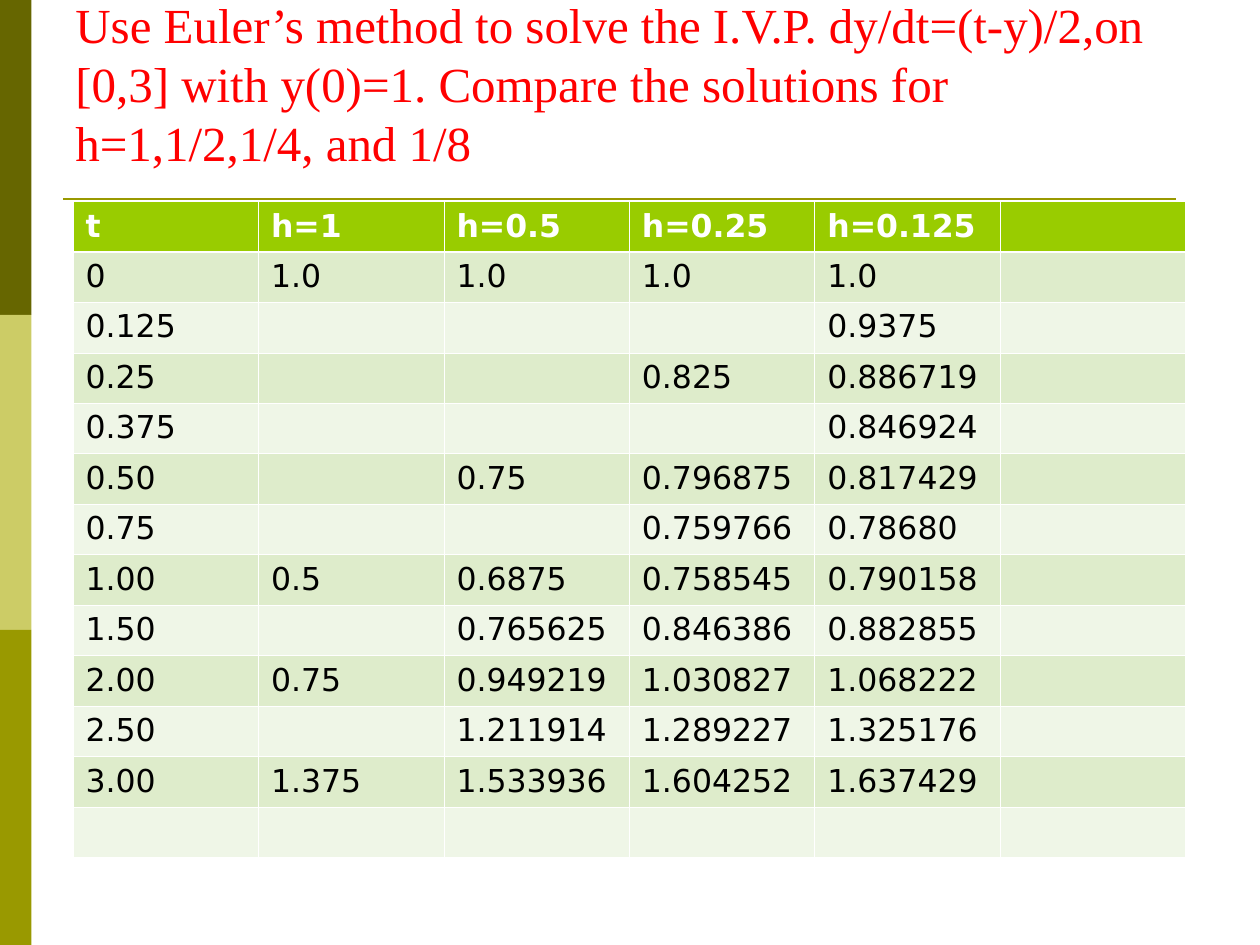
from typing import NamedTuple

from lxml.etree import SubElement
from pptx import Presentation
from pptx.dml.color import RGBColor
from pptx.enum.shapes import MSO_CONNECTOR as Link, MSO_SHAPE as Shape
from pptx.enum.text import MSO_ANCHOR as Anchor
from pptx.oxml.ns import qn
from pptx.util import Inches, Pt

WHITE = RGBColor(0xFF, 0xFF, 0xFF)
BLACK = RGBColor(0x00, 0x00, 0x00)
RED = RGBColor(0xFF, 0x00, 0x00)
DARK = RGBColor(0x66, 0x66, 0x00)
SAND = RGBColor(0xCC, 0xCC, 0x66)
OLIVE = RGBColor(0x99, 0x99, 0x00)
LIME = RGBColor(0x99, 0xCC, 0x00)
MINT = RGBColor(0xDE, 0xEC, 0xCB)
PALE = RGBColor(0xEF, 0xF6, 0xE7)

TITLE = (
    "Use Euler’s method to solve the I.V.P. dy/dt=(t-y)/2,on [0,3] with y(0)=1. "
    "Compare the solutions for h=1,1/2,1/4, and 1/8"
)
ROWS = [
    ("t", "h=1", "h=0.5", "h=0.25", "h=0.125", ""),
    ("0", "1.0", "1.0", "1.0", "1.0", ""),
    ("0.125", "", "", "", "0.9375", ""),
    ("0.25", "", "", "0.825", "0.886719", ""),
    ("0.375", "", "", "", "0.846924", ""),
    ("0.50", "", "0.75", "0.796875", "0.817429", ""),
    ("0.75", "", "", "0.759766", "0.78680", ""),
    ("1.00", "0.5", "0.6875", "0.758545", "0.790158", ""),
    ("1.50", "", "0.765625", "0.846386", "0.882855", ""),
    ("2.00", "0.75", "0.949219", "1.030827", "1.068222", ""),
    ("2.50", "", "1.211914", "1.289227", "1.325176", ""),
    ("3.00", "1.375", "1.533936", "1.604252", "1.637429", ""),
    ("", "", "", "", "", ""),
]


class Band(NamedTuple):
    top: float
    color: RGBColor


class Look(NamedTuple):
    fill: RGBColor
    ink: RGBColor
    bold: bool


BANDS = [Band(0, DARK), Band(2.5, SAND), Band(5, OLIVE)]
HEAD = Look(LIME, WHITE, True)
ODD = Look(MINT, BLACK, False)
EVEN = Look(PALE, BLACK, False)


def draw_band(slide, band: Band) -> None:
    bar = slide.shapes.add_shape(
        Shape.RECTANGLE, 0, Inches(band.top), Inches(0.25), Inches(2.5)
    )
    bar.shadow.inherit = False
    bar.fill.solid()
    bar.fill.fore_color.rgb = band.color
    bar.line.fill.background()


def draw_rule(slide) -> None:
    rule = slide.shapes.add_connector(
        Link.STRAIGHT, Inches(0.5), Inches(1.58), Inches(9.33), Inches(1.58)
    )
    rule.line.color.rgb = OLIVE
    rule.line.width = Pt(1.5)
    SubElement(rule._element.spPr, qn("a:effectLst"))


def draw_title(slide) -> None:
    box = slide.shapes.add_textbox(Inches(0.5), Inches(0.3), Inches(9), Inches(1.11))
    frame = box.text_frame
    frame.word_wrap = True
    frame.vertical_anchor = Anchor.BOTTOM
    frame.text = TITLE
    font = frame.paragraphs[0].font
    font.name = "Times New Roman"
    font.size = Pt(28)
    font.color.rgb = RED


def set_edge(cell, side: str, width: float) -> None:
    edge = SubElement(cell._tc.get_or_add_tcPr(), qn(f"a:{side}"), w=str(Pt(width)))
    fill = SubElement(edge, qn("a:solidFill"))
    SubElement(fill, qn("a:srgbClr"), val=str(WHITE))


def style_cell(cell, text: str, look: Look, row: int) -> None:
    thick = {0: "lnB", 1: "lnT"}.get(row)
    for side in ("lnL", "lnR", "lnT", "lnB"):
        set_edge(cell, side, 1.47 if side == thick else 0.45)
    cell.fill.solid()
    cell.fill.fore_color.rgb = look.fill
    cell.text = text
    font = cell.text_frame.paragraphs[0].font
    font.name = "DejaVu Sans"
    font.size = Pt(18)
    font.bold = look.bold
    font.color.rgb = look.ink


def draw_table(slide) -> None:
    count = len(ROWS[0])
    table = slide.shapes.add_table(
        len(ROWS), count, Inches(0.58), Inches(1.6), Inches(8.83), Inches(5.2)
    ).table
    for r, row in enumerate(ROWS):
        look = HEAD if r == 0 else ODD if r % 2 else EVEN
        for c, text in enumerate(row):
            style_cell(table.cell(r, c), text, look, r)


def main() -> None:
    deck = Presentation()
    deck.slide_width = Inches(10)
    deck.slide_height = Inches(7.5)
    slide = deck.slides.add_slide(deck.slide_layouts[6])
    for band in BANDS:
        draw_band(slide, band)
    draw_rule(slide)
    draw_title(slide)
    draw_table(slide)
    deck.save("out.pptx")


if __name__ == "__main__":
    main()
